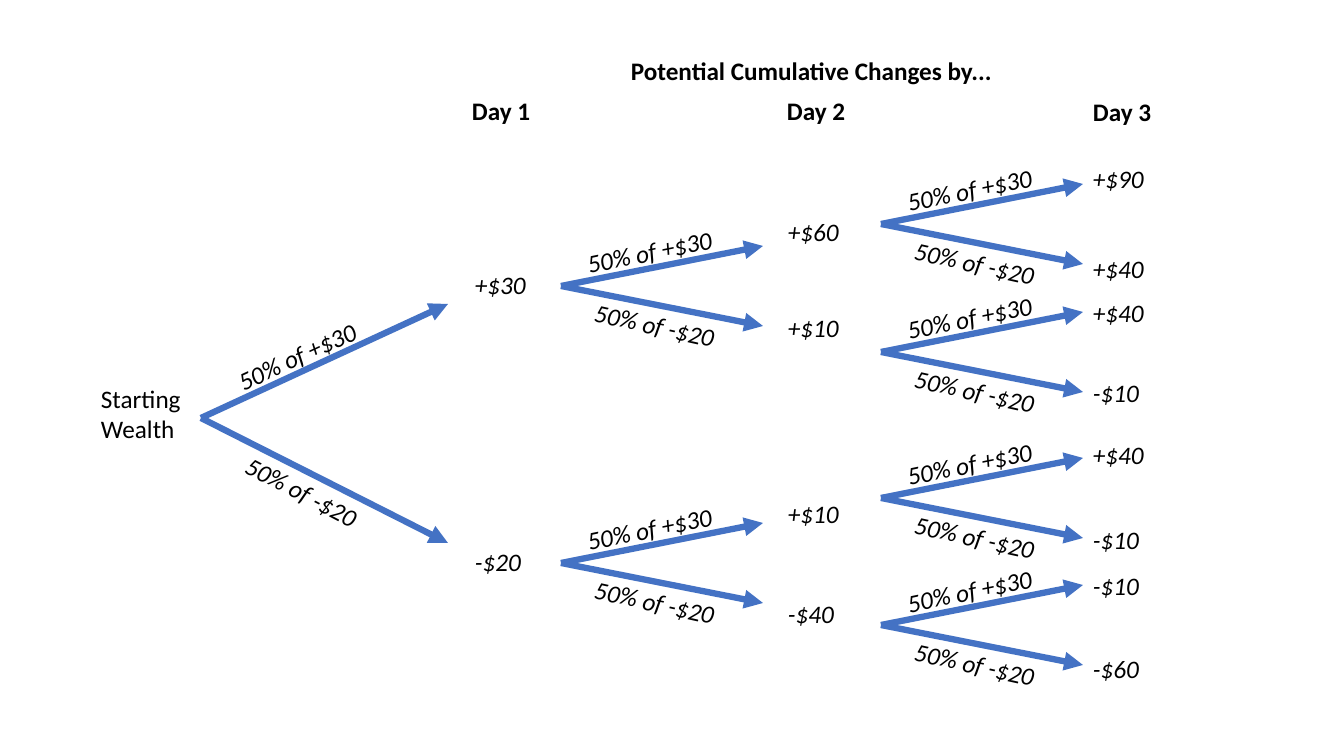
from itertools import product

from lxml.etree import SubElement
from pptx import Presentation
from pptx.dml.color import RGBColor
from pptx.enum.shapes import MSO_CONNECTOR as Connector
from pptx.enum.text import MSO_AUTO_SIZE as AutoSize
from pptx.oxml.ns import qn
from pptx.util import Pt

PX = 914400 / 100.8
COLORS = {"text": "000000", "arrow": "4472C4"}
GAIN, LOSS = 30, -20
LINE_HEIGHT = 40


def px(length):
    return round(length * PX)


def money(amount):
    return f"{'+' if amount > 0 else '-'}${abs(amount)}"


def write(frame, text, size=18, bold=False, italic=False, color="text"):
    frame.text = text
    for paragraph in frame.paragraphs:
        font = paragraph.font
        font.name, font.size = "Calibri", Pt(size)
        font.bold, font.italic = bold, italic
        font.color.rgb = RGBColor.from_string(COLORS[color])


class TreeSlide:
    def __init__(self, slide):
        self.shapes = slide.shapes

    def label(self, text, left, top, width, height=LINE_HEIGHT, angle=0, **style):
        box = self.shapes.add_textbox(px(left), px(top), px(width), px(height))
        box.rotation = angle
        frame = box.text_frame
        frame.word_wrap = True
        frame.auto_size = AutoSize.SHAPE_TO_FIT_TEXT
        write(frame, text, **style)

    def arrow(self, start, end):
        points = [px(value) for value in (*start, *end)]
        arrow = self.shapes.add_connector(Connector.STRAIGHT, *points)
        arrow.line.color.rgb = RGBColor.from_string(COLORS["arrow"])
        arrow.line.width = Pt(4.5)
        SubElement(arrow.line._get_or_add_ln(), qn("a:tailEnd"), type="triangle")
        SubElement(arrow._element.spPr, qn("a:effectLst"))

    def fork(self, x, y, run, branches):
        for change, width, rise, shift_x, shift_y, angle in branches:
            self.arrow((x, y), (x + run, y + rise))
            self.label(f"50% of {money(change)}", x + shift_x, y + shift_y,
                       width, angle=angle, italic=True)


WIDE_FORK = [(GAIN, 160, -114, 22, -85, 335.3), (LOSS, 144, 125, 30, 54, 27.7)]
NARROW_FORK = [(GAIN, 160, -40, 15, -56, 348.4), (LOSS, 144, 40, 23, 19, 12.6)]
FORKS = [
    (201, 247, [418], WIDE_FORK),
    (561, 202, [286, 563], NARROW_FORK),
    (881, 202, [224, 352, 498, 625], NARROW_FORK),
]
DAYS = [
    (462, 90, 465, [264, 541]),
    (777, 90, 778, [211, 307, 493, 593]),
    (1083, 91, 1083, [158, 248, 292, 372, 434, 519, 565, 648]),
]

deck = Presentation()
deck.slide_width, deck.slide_height = px(1344), px(756)
tree = TreeSlide(deck.slides.add_slide(deck.slide_layouts[6]))

tree.label("Potential Cumulative Changes by...", 621, 50, 392, bold=True)
tree.label("Starting\nWealth", 91, 378, 103, height=71)

for x, run, origins, branches in FORKS:
    for y in origins:
        tree.fork(x, y, run, branches)

for day, (heading_x, heading_y, outcome_x, tops) in enumerate(DAYS, 1):
    tree.label(f"Day {day}", heading_x, heading_y, 83, bold=True)
    for changes, top in zip(product((GAIN, LOSS), repeat=day), tops):
        tree.label(money(sum(changes)), outcome_x, top, 80, italic=True)

deck.save("out.pptx")
